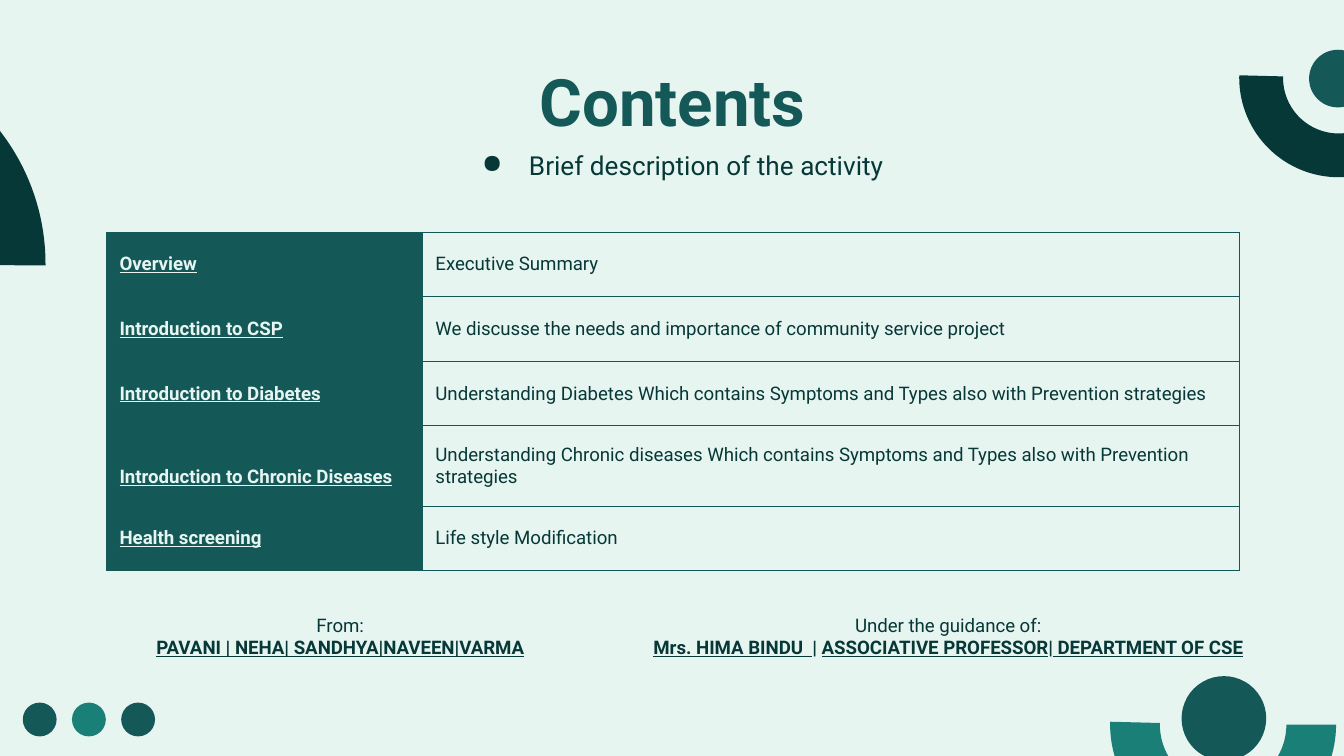
from dataclasses import dataclass

from lxml import etree
from pptx import Presentation, util as u
from pptx.dml import color
from pptx.enum import shapes, text
from pptx.oxml import ns

MINT, PINE, TEAL, DARK = "E7F5F1", "145858", "1A8077", "073838"
FONT = "Roboto"
PAD = 0.25


@dataclass
class Deco:
    left: float
    top: float
    size: float
    fill: str
    arc: tuple = ()
    turn: int = 180


@dataclass
class Run:
    text: str
    bold: bool = False
    line: bool = False


@dataclass
class Topic:
    name: str
    note: str
    height: float = 1.22
    drop: float = 0


# Content
HALF = (108, 0.86, 0.22)
DECOS = [Deco(0.43 + 0.93 * i, 13.28, 0.64, fill)
         for i, fill in enumerate((PINE, TEAL, PINE))]
DECOS += [
    Deco(20.98, 11.56, 4.27, TEAL, HALF),
    Deco(22.33, 12.78, 1.6, PINE),
    Deco(-7.34, 0.89, 8.2, DARK, (108, 0.24, 0.25), 0),
    Deco(23.42, -0.41, 3.76, DARK, HALF),
    Deco(24.74, 0.94, 1.09, PINE),
]
TOPICS = [
    Topic("Overview", "Executive Summary"),
    Topic("Introduction to CSP",
          "We discusse the needs and importance of community service project"),
    Topic("Introduction to Diabetes",
          "Understanding Diabetes Which contains Symptoms and Types "
          "also with Prevention strategies"),
    Topic("Introduction to Chronic Diseases",
          "Understanding Chronic diseases Which contains Symptoms and Types "
          "also with Prevention strategies", 1.52, 0.42),
    Topic("Health screening", "Life style Modification"),
]
TEAM = [Run("From:\n"), Run("PAVANI | NEHA| SANDHYA|NAVEEN|VARMA", True, True)]
GUIDE = [
    Run("Under the guidance of:\n"),
    Run("Mrs. HIMA BINDU  ", True, True),
    Run("| ", True),
    Run("ASSOCIATIVE PROFESSOR", True, True),
    Run("|", True),
    Run(" DEPARTMENT OF CSE", True, True),
]


def rgb(code: str) -> color.RGBColor:
    return color.RGBColor.from_string(code)


def write(frame, runs: list[Run], size: float = 10, ink: str = DARK,
          align=text.PP_ALIGN.CENTER):
    """Fill the first paragraph; a run ending in a newline breaks the line."""
    frame.word_wrap = True
    para = frame.paragraphs[0]
    para.alignment = align
    for item in runs:
        run = para.add_run()
        run.text = item.text.rstrip("\n")
        font = run.font
        font.name, font.size = FONT, u.Pt(size)
        font.bold, font.underline = item.bold, item.line
        font.color.rgb = rgb(ink)
        if item.text.endswith("\n"):
            para.add_line_break()
    return para


def add_box(slide, left: float, top: float, width: float, height: float,
            runs: list[Run], **form):
    frame = slide.shapes.add_textbox(
        u.Cm(left), u.Cm(top), u.Cm(width), u.Cm(height)).text_frame
    frame.margin_left = frame.margin_right = u.Cm(PAD)
    frame.margin_top = frame.margin_bottom = u.Cm(PAD)
    return write(frame, runs, **form)


def add_deco(slide, deco: Deco) -> None:
    kind = shapes.MSO_SHAPE.BLOCK_ARC if deco.arc else shapes.MSO_SHAPE.OVAL
    shape = slide.shapes.add_shape(
        kind, u.Cm(deco.left), u.Cm(deco.top), u.Cm(deco.size), u.Cm(deco.size))
    for i, value in enumerate(deco.arc):
        shape.adjustments[i] = value
    shape.rotation = deco.turn
    shape.shadow.inherit = False
    shape.fill.solid()
    shape.fill.fore_color.rgb = rgb(deco.fill)
    shape.line.fill.background()


def add_bullet(para, mark: str, ink: str) -> None:
    props = para._p.get_or_add_pPr()
    props.set("marL", str(u.Cm(1.27)))
    props.set("indent", str(u.Cm(-0.89)))
    tint = etree.SubElement(props, ns.qn("a:buClr"))
    etree.SubElement(tint, ns.qn("a:srgbClr"), val=ink)
    etree.SubElement(props, ns.qn("a:buChar"), char=mark)


def add_edges(cell, ink: str, width: float) -> None:
    props = cell._tc.get_or_add_tcPr()
    for i, side in enumerate(("lnL", "lnR", "lnT", "lnB")):
        edge = etree.Element(ns.qn(f"a:{side}"), w=str(u.Pt(width)))
        fill = etree.SubElement(edge, ns.qn("a:solidFill"))
        etree.SubElement(fill, ns.qn("a:srgbClr"), val=ink)
        props.insert(i, edge)


def set_cell(cell, run: Run, ink: str, fill: str = "", drop: float = 0) -> None:
    cell.vertical_anchor = text.MSO_ANCHOR.MIDDLE
    cell.margin_left = cell.margin_right = u.Cm(PAD)
    cell.margin_top, cell.margin_bottom = u.Cm(drop), 0
    if fill:
        cell.fill.solid()
        cell.fill.fore_color.rgb = rgb(fill)
    else:
        cell.fill.background()
    write(cell.text_frame, [run], ink=ink, align=text.PP_ALIGN.LEFT)
    add_edges(cell, PINE, 0.75)


def add_topics(slide, left: float, top: float, widths: tuple) -> None:
    high = sum(topic.height for topic in TOPICS)
    table = slide.shapes.add_table(
        len(TOPICS), len(widths), u.Cm(left), u.Cm(top),
        u.Cm(sum(widths)), u.Cm(high)).table
    table.first_row = table.horz_banding = False
    for col, width in zip(table.columns, widths):
        col.width = u.Cm(width)
    for i, topic in enumerate(TOPICS):
        table.rows[i].height = u.Cm(topic.height)
        set_cell(table.cell(i, 0), Run(topic.name, True, True), MINT,
                 PINE, topic.drop)
        set_cell(table.cell(i, 1), Run(topic.note), DARK)


def main() -> None:
    deck = Presentation()
    deck.slide_width, deck.slide_height = u.Cm(25.4), u.Cm(14.29)
    slide = deck.slides.add_slide(deck.slide_layouts[6])
    slide.background.fill.solid()
    slide.background.fill.fore_color.rgb = rgb(MINT)

    # Corner decoration
    for deco in DECOS:
        add_deco(slide, deco)

    # Heading
    add_box(slide, 2.01, 0.91, 21.41, 1.6, [Run("Contents", True)],
            size=35, ink=PINE)

    # Topics
    add_topics(slide, 2.01, 4.39, (5.97, 15.44))

    # Credits
    add_box(slide, 2.01, 11.35, 8.84, 1.27, TEAM)
    add_box(slide, 11.38, 11.35, 13.08, 1.27, GUIDE)

    # Subtitle
    para = add_box(slide, 2.01, 2.49, 21.41, 0.84,
                   [Run("Brief description of the activity")], size=14)
    para.line_spacing = 1.15
    add_bullet(para, "●", DARK)

    deck.save("out.pptx")


if __name__ == "__main__":
    main()
